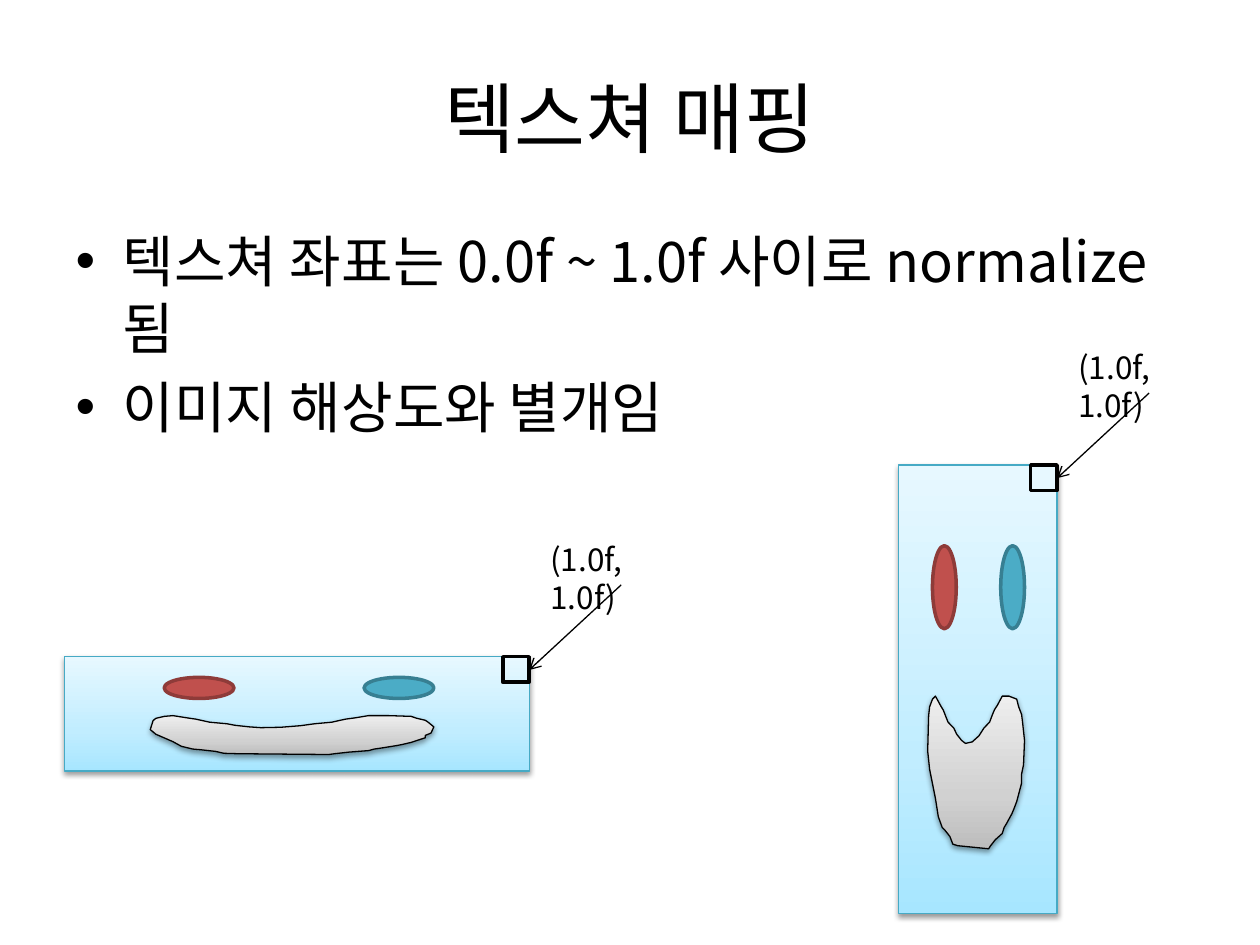
from dataclasses import dataclass

from lxml import etree
from pptx import Presentation
from pptx import util as u
from pptx.dml.color import RGBColor
from pptx.enum import shapes, text
from pptx.oxml.ns import qn


@dataclass(frozen=True)
class Theme:
    font: str = "Noto Sans CJK KR"
    ink: str = "000000"
    title: int = 44
    body: int = 32
    label: int = 18
    thin: float = 0.75
    thick: float = 2
    sky: tuple = ((0, "A7E6FF"), (35, "C1EDFF"), (100, "E7F8FF"))
    sky_edge: str = "46AAC5"
    gray: tuple = ((0, "BDBDBD"), (35, "D1D1D1"), (100, "EEEEEE"))
    red: str = "C0504D"
    red_edge: str = "8E3B39"
    teal: str = "4BACC6"
    teal_edge: str = "377F92"


T = Theme()
WIDTH, HEIGHT = u.Inches(10), u.Inches(7.5)
SLIDE = (0, 0, WIDTH, HEIGHT)

# Mouth outline in percent of its own box
MOUTH = [
    (8, 67), (2, 48), (0, 36), (1, 13), (2, 7), (5, 2), (8, 0), (14, 7),
    (16, 9), (21, 17), (27, 21), (30, 25), (35, 29), (39, 31), (46, 30),
    (53, 26), (58, 21), (64, 17), (67, 12), (69, 9), (72, 6), (77, 0),
    (84, 0), (92, 2), (94, 7), (97, 12), (98, 17), (100, 29), (99, 45),
    (97, 51), (97, 57), (92, 69), (89, 74), (87, 77), (81, 84), (79, 86),
    (77, 90), (70, 94), (65, 98), (63, 100), (31, 98), (26, 97), (23, 92),
    (18, 88), (15, 86), (11, 79),
]


def part(box, x, y, w, h):
    """Box given as shares of a larger box."""
    left, top, width, height = box
    return (int(left + x * width), int(top + y * height),
            int(w * width), int(h * height))


def place(shape, box):
    for name, value in zip(("left", "top", "width", "height"), box):
        setattr(shape, name, value)


def write(shape, lines, size, align=None, **frame):
    tf = shape.text_frame
    for name, value in frame.items():
        setattr(tf, name, value)
    for i, line in enumerate(lines):
        p = tf.paragraphs[0] if i == 0 else tf.add_paragraph()
        p.alignment = align
        r = p.add_run()
        r.text = line
        for name, value in {"name": T.font, "size": u.Pt(size)}.items():
            setattr(r.font, name, value)
        r.font.color.rgb = RGBColor.from_string(T.ink)
        ea = etree.SubElement(r._r.get_or_add_rPr(), qn("a:ea"))
        ea.set("typeface", T.font)


def outline(sp, color, width):
    sp.line.color.rgb = RGBColor.from_string(color)
    sp.line.width = u.Pt(width)


def add_color(parent, color):
    node = etree.SubElement(parent, qn("a:srgbClr"))
    node.set("val", color)
    return node


def gradient(sp, stops):
    sp.fill.gradient()
    sp.fill.gradient_angle = 90
    gs_list = sp._element.spPr.find(".//" + qn("a:gsLst"))
    for gs in list(gs_list):
        gs_list.remove(gs)
    for pos, color in stops:
        gs = etree.SubElement(gs_list, qn("a:gs"))
        gs.set("pos", str(pos * 1000))
        add_color(gs, color)


def drop_shadow(sp):
    sp.shadow.inherit = False
    effects = sp._element.spPr.find(qn("a:effectLst"))
    shadow = etree.SubElement(effects, qn("a:outerShdw"))
    values = {"blurRad": u.Pt(3.1), "dist": u.Pt(1.6), "dir": 90 * 60000, "rotWithShape": 0}
    for name, value in values.items():
        shadow.set(name, str(int(value)))
    alpha = etree.SubElement(add_color(shadow, T.ink), qn("a:alpha"))
    alpha.set("val", "38000")


def face(slide, box):
    """The same texture stretched to any box."""
    group = slide.shapes.add_group_shape().shapes

    # Background
    sp = group.add_shape(shapes.MSO_SHAPE.RECTANGLE, *box)
    gradient(sp, T.sky)
    outline(sp, T.sky_edge, T.thin)
    drop_shadow(sp)

    # Eyes
    for x, fill, edge in ((0.215, T.red, T.red_edge), (0.645, T.teal, T.teal_edge)):
        sp = group.add_shape(shapes.MSO_SHAPE.OVAL, *part(box, x, 0.18, 0.15, 0.185))
        sp.fill.solid()
        sp.fill.fore_color.rgb = RGBColor.from_string(fill)
        outline(sp, edge, T.thick)
        sp.shadow.inherit = False

    # Mouth
    left, top, width, height = part(box, 0.185, 0.515, 0.61, 0.34)
    pen = group.build_freeform(*MOUTH[0], scale=(width / 100, height / 100))
    pen.add_line_segments(MOUTH[1:], close=True)
    sp = pen.convert_to_shape(left, top)
    gradient(sp, T.gray)
    outline(sp, T.ink, T.thin)
    drop_shadow(sp)


def corner(slide, box):
    """Marks the top right corner of a box with its coordinate."""
    right, top = box[0] + box[2], box[1]
    around = (right, top, WIDTH, HEIGHT)

    # Marker
    sp = slide.shapes.add_shape(shapes.MSO_SHAPE.RECTANGLE,
                                *part(around, -0.021, 0, 0.021, 0.027))
    sp.fill.background()
    outline(sp, T.ink, T.thick)
    sp.shadow.inherit = False

    # Label
    label = slide.shapes.add_textbox(*part(around, 0.007, -0.13, 0.133, 0.054))
    write(label, ["(1.0f, 1.0f)"], T.label, word_wrap=True)

    # Arrow
    start = part(around, 0.073, -0.076, 0, 0)[:2]
    end = part(around, 0, 0.014, 0, 0)[:2]
    line = slide.shapes.add_connector(shapes.MSO_CONNECTOR.STRAIGHT, *start, *end)
    outline(line, T.ink, T.thin)
    tail = etree.SubElement(line.line._get_or_add_ln(), qn("a:tailEnd"))
    tail.set("type", "arrow")
    etree.SubElement(line._element.spPr, qn("a:effectLst"))


def heading(slide, box):
    title = slide.shapes.title
    place(title, box)
    write(title, ["텍스쳐 매핑"], T.title, text.PP_ALIGN.CENTER,
          vertical_anchor=text.MSO_ANCHOR.MIDDLE)


def bullets(slide, box):
    body = slide.placeholders[1]
    place(body, box)
    write(body, ["텍스쳐 좌표는 0.0f ~ 1.0f 사이로 normalize 됨", "이미지 해상도와 별개임"], T.body)


def main():
    prs = Presentation()
    prs.slide_width, prs.slide_height = WIDTH, HEIGHT
    slide = prs.slides.add_slide(prs.slide_layouts[1])
    heading(slide, part(SLIDE, 0.05, 0.04, 0.9, 0.167))
    bullets(slide, part(SLIDE, 0.05, 0.233, 0.9, 0.66))

    wide = part(SLIDE, 0.051, 0.695, 0.369, 0.121)
    tall = part(SLIDE, 0.713, 0.492, 0.126, 0.475)
    for draw in (face, corner):
        for box in (wide, tall):
            draw(slide, box)
    prs.save("out.pptx")


if __name__ == "__main__":
    main()
